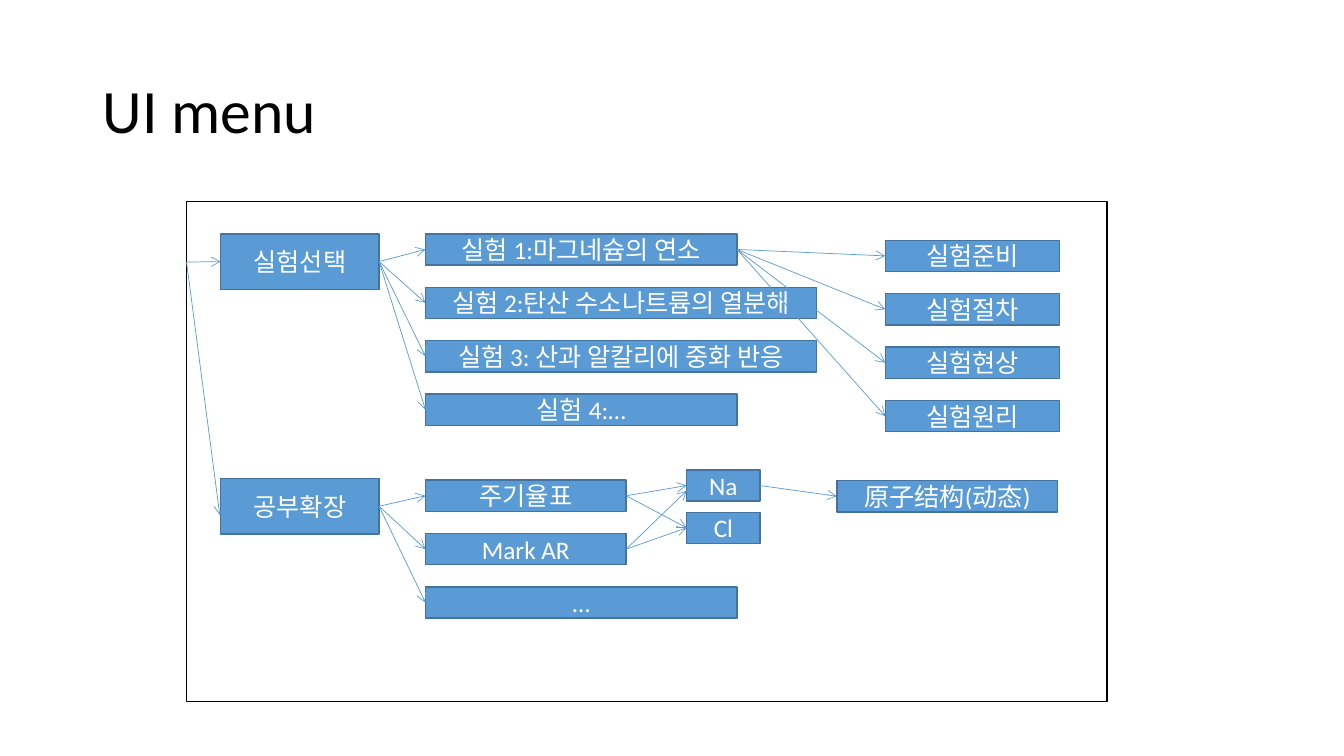
"""Build the UI menu slide: a menu tree inside a frame."""
from lxml import etree
from pptx import Presentation
from pptx import util as u
from pptx.dml.color import RGBColor
from pptx.enum import shapes, text
from pptx.oxml import ns

FONT = "Calibri"
TOP, ROW, BOX_HEIGHT, ROOT_HEIGHT = 2.32, 0.53, 0.31, 0.55
COLUMNS = {"root": 2.19, "item": 4.22, "element": 6.81, "atom": 8.3, "step": 8.78}
RIGHT, LEFT = 3, 1


def paint(color_format, color):
    """Give a fill or line fill a solid hex colour."""
    color_format.solid()
    color_format.fore_color.rgb = RGBColor.from_string(color)


def style(paragraph, size, color, alignment):
    """Set the font and alignment of a paragraph."""
    paragraph.alignment = alignment
    paragraph.font.name = FONT
    paragraph.font.size = u.Pt(size)
    paint(paragraph.font.fill, color)


def add_title(slide, words):
    """Place and format the title placeholder."""
    title = slide.shapes.title
    title.left, title.top = u.Inches(0.92), u.Inches(0.4)
    title.width, title.height = u.Inches(11.5), u.Inches(1.45)
    title.text_frame.text = words
    title.text_frame.vertical_anchor = text.MSO_ANCHOR.MIDDLE
    paragraph = title.text_frame.paragraphs[0]
    paragraph.line_spacing = 0.9
    style(paragraph, 44, "000000", text.PP_ALIGN.LEFT)


def add_rectangle(slide, left, top, width, height, fill, line):
    """Add a flat rectangle with a one point outline."""
    shape = slide.shapes.add_shape(
        shapes.MSO_SHAPE.RECTANGLE, *map(u.Inches, (left, top, width, height)))
    shape.shadow.inherit = False
    paint(shape.fill, fill)
    paint(shape.line.fill, line)
    shape.line.width = u.Pt(1)
    return shape


def add_box(slide, words, column, row, width, height=BOX_HEIGHT):
    """Add a labelled menu box at a column and a row of the grid."""
    shape = add_rectangle(slide, COLUMNS[column], TOP + row * ROW, width, height,
                          "5B9BD5", "43739E")
    shape.text_frame.text = words
    shape.text_frame.word_wrap = True
    shape.text_frame.vertical_anchor = text.MSO_ANCHOR.MIDDLE
    style(shape.text_frame.paragraphs[0], 18, "FFFFFF", text.PP_ALIGN.CENTER)
    return shape


def add_arrow(slide, start, end):
    """Add an arrow; each end is a box to join or a point in inches."""
    connector = slide.shapes.add_connector(shapes.MSO_CONNECTOR.STRAIGHT, 0, 0, 0, 0)
    if isinstance(start, tuple):
        connector.begin_x, connector.begin_y = map(u.Inches, start)
    else:
        connector.begin_connect(start, RIGHT)
    if isinstance(end, tuple):
        connector.end_x, connector.end_y = map(u.Inches, end)
    else:
        connector.end_connect(end, LEFT)
    paint(connector.line.fill, "5B9BD5")
    connector.line.width = u.Pt(0.5)
    properties = connector.element.spPr
    line = properties.find(ns.qn("a:ln"))
    etree.SubElement(line, ns.qn("a:tailEnd"), type="arrow")
    etree.SubElement(properties, ns.qn("a:effectLst"))


def main():
    """Build and save the slide."""
    presentation = Presentation()
    presentation.slide_width, presentation.slide_height = u.Inches(13.33), u.Inches(7.5)
    slide = presentation.slides.add_slide(presentation.slide_layouts[5])
    add_title(slide, "UI menu")
    add_rectangle(slide, 1.85, 2, 9.13, 4.96, "FFFFFF", "000000")

    choice = add_box(slide, "실험선택", "root", 0, 1.57, ROOT_HEIGHT)
    study = add_box(slide, "공부확장", "root", 4.58, 1.57, ROOT_HEIGHT)
    experiments = [add_box(slide, words, "item", row, width) for row, (words, width) in enumerate([
        ("실험 1:마그네슘의 연소", 3.09),
        ("실험 2:탄산 수소나트륨의 열분해", 3.88),
        ("실험 3: 산과 알칼리에 중화 반응", 3.88),
        ("실험 4:…", 3.09)])]
    steps = [add_box(slide, words, "step", row + 0.12, 1.73)
             for row, words in enumerate(["실험준비", "실험절차", "실험현상", "실험원리"])]
    topics = [add_box(slide, words, "item", row + 4.61, width)
              for row, (words, width) in enumerate([
                  ("주기율표", 1.99), ("Mark AR", 1.99), ("…", 3.09)])]
    sodium = add_box(slide, "Na", "element", 4.42, 0.73)
    chlorine = add_box(slide, "Cl", "element", 5.21, 0.73)
    atom = add_box(slide, "原子结构(动态)", "atom", 4.62, 2.19)
    table, marker = topics[:2]

    for parent, children in [
            (choice, experiments), (experiments[0], steps), (study, topics),
            (table, [sodium, chlorine]), (marker, [(6.81, 4.87), chlorine]),
            (sodium, [atom]), ((1.85, 2.6), [choice, (2.18, 5.11)])]:
        for child in children:
            add_arrow(slide, parent, child)
    presentation.save("out.pptx")


if __name__ == "__main__":
    main()
